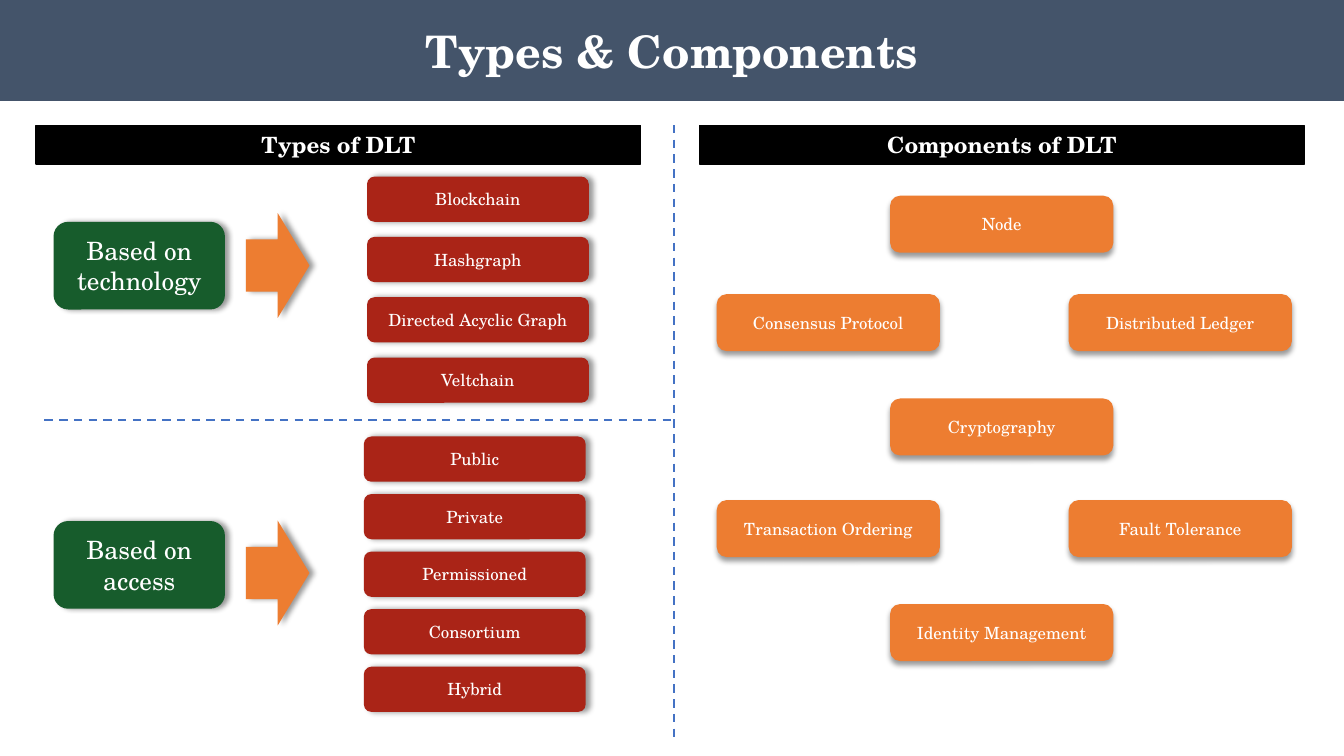
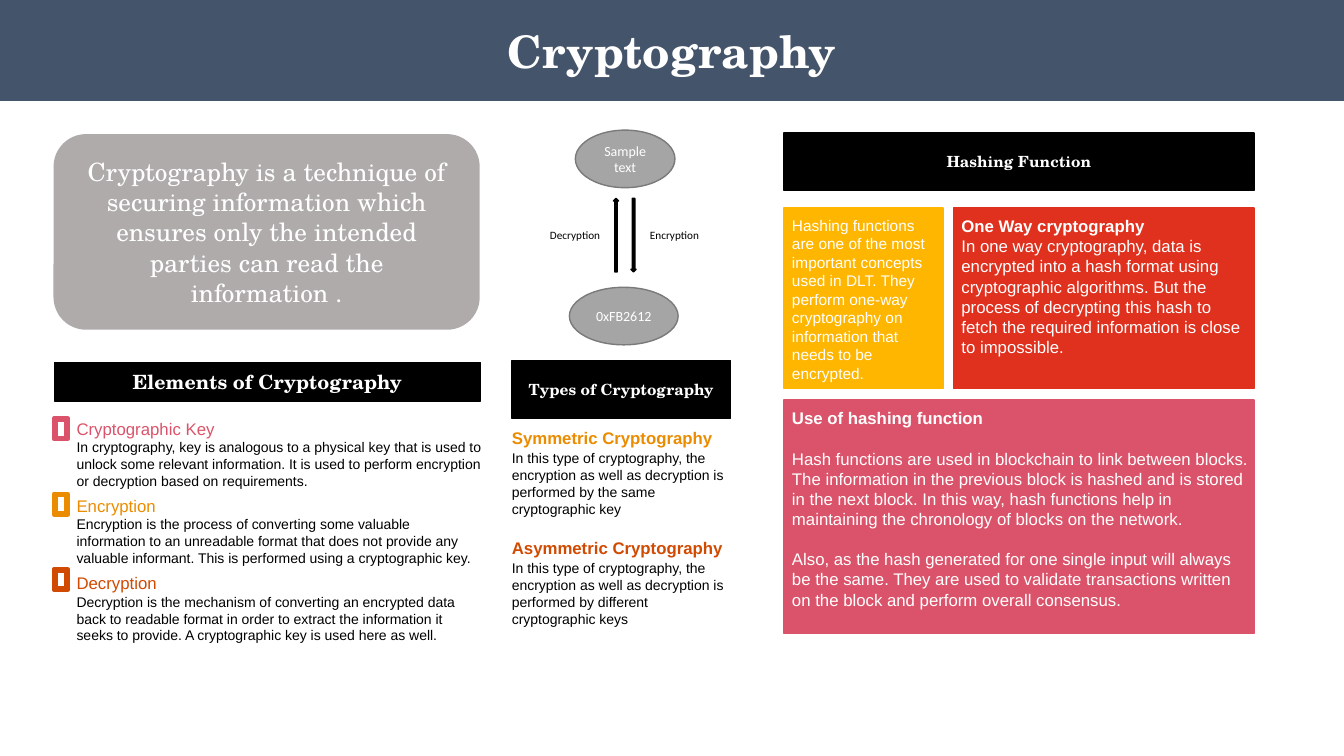
from dataclasses import dataclass
from typing import NamedTuple, Optional

from lxml.etree import SubElement
from pptx import Presentation
from pptx.dml.color import RGBColor
from pptx.enum.dml import MSO_LINE
from pptx.enum.shapes import MSO_CONNECTOR, MSO_SHAPE as Preset
from pptx.enum.text import MSO_ANCHOR as Anchor, MSO_AUTO_SIZE, PP_ALIGN as Align
from pptx.oxml.ns import qn
from pptx.shapes.autoshape import Shape
from pptx.slide import Slide
from pptx.text.text import TextFrame
from pptx.util import Cm, Pt

# Shared look
WHITE = RGBColor(0xFF, 0xFF, 0xFF)
BLACK = RGBColor(0x00, 0x00, 0x00)
SLATE = RGBColor(0x44, 0x54, 0x6A)
GREEN = RGBColor(0x17, 0x5C, 0x2C)
BRICK = RGBColor(0xAA, 0x24, 0x17)
ORANGE = RGBColor(0xED, 0x7D, 0x31)
BLUE = RGBColor(0x44, 0x72, 0xC4)
WARM_GRAY = RGBColor(0xAF, 0xAB, 0xAB)
MID_GRAY = RGBColor(0xA5, 0xA5, 0xA5)
DARK_GRAY = RGBColor(0x7A, 0x7A, 0x7A)
ROSE = RGBColor(0xDB, 0x53, 0x6A)
AMBER = RGBColor(0xEB, 0x8C, 0x00)
RUST = RGBColor(0xD0, 0x4A, 0x02)
YELLOW = RGBColor(0xFF, 0xB6, 0x00)
RED = RGBColor(0xE0, 0x30, 0x1E)

SERIF, SANS, LABEL = "TeX Gyre Schola", "Arial", "Calibri"
SLIDE_WIDTH, SLIDE_HEIGHT, BAND_HEIGHT = 33.87, 19.05, 2.54
RIGHTWARD, DOWNWARD = 0, 90


class Area(NamedTuple):
    """Left, top, width and height in centimetres."""
    left: float
    top: float
    width: float
    height: float

    def lengths(self) -> list[Cm]:
        return [Cm(value) for value in self]


class Insets(NamedTuple):
    left: float
    top: float
    right: float
    bottom: float


NO_INSETS = Insets(0, 0, 0, 0)
PANEL_INSETS = Insets(0.2, 0.2, 0.08, 0.2)


@dataclass(frozen=True)
class Para:
    text: str
    size: float
    color: RGBColor = WHITE
    font: str = SERIF
    bold: bool = False
    align: Align = Align.LEFT
    before: float = 0
    after: float = 0


@dataclass(frozen=True)
class Look:
    preset: Preset
    fill: Optional[RGBColor] = None
    line: Optional[RGBColor] = None
    line_width: float = 1
    shadow: Optional[int] = None
    rotation: int = 0


TYPE_PILL = Look(Preset.ROUNDED_RECTANGLE, BRICK, shadow=RIGHTWARD)
BASIS = Look(Preset.ROUNDED_RECTANGLE, GREEN, shadow=RIGHTWARD)
BASIS_ARROW = Look(Preset.DOWN_ARROW, ORANGE, shadow=RIGHTWARD, rotation=270)
COMPONENT = Look(Preset.ROUNDED_RECTANGLE, ORANGE, ORANGE, shadow=DOWNWARD)
HEADING = Look(Preset.RECTANGLE, BLACK, BLACK)
MESSAGE = Look(Preset.OVAL, MID_GRAY, DARK_GRAY)


# Drawing functions
def write(frame: TextFrame, paras: list[Para], anchor: Anchor,
          insets: Optional[Insets] = None) -> None:
    frame.word_wrap = True
    frame.auto_size = MSO_AUTO_SIZE.NONE
    frame.vertical_anchor = anchor
    if insets:
        frame.margin_left, frame.margin_top = Cm(insets.left), Cm(insets.top)
        frame.margin_right, frame.margin_bottom = Cm(insets.right), Cm(insets.bottom)
    for index, para in enumerate(paras):
        line = frame.add_paragraph() if index else frame.paragraphs[0]
        line.alignment = para.align
        line.space_before, line.space_after = Pt(para.before), Pt(para.after)
        run = line.add_run()
        run.text = para.text
        run.font.name, run.font.size = para.font, Pt(para.size)
        run.font.bold, run.font.color.rgb = para.bold, para.color


def cast_shadow(shape: Shape, direction: int) -> None:
    effects = shape._element.spPr.find(qn("a:effectLst"))
    outer = SubElement(effects, qn("a:outerShdw"), blurRad=str(Pt(4)), dist=str(Pt(3)),
                       dir=str(direction * 60000), algn="ctr", rotWithShape="0")
    color = SubElement(outer, qn("a:srgbClr"), val=str(BLACK))
    SubElement(color, qn("a:alpha"), val="40000")


def draw(slide: Slide, area: Area, look: Look, paras: Optional[list[Para]] = None,
         anchor: Anchor = Anchor.MIDDLE, insets: Optional[Insets] = None) -> Shape:
    shape = slide.shapes.add_shape(look.preset, *area.lengths())
    shape.rotation = look.rotation
    shape.shadow.inherit = False
    if look.fill is None:
        shape.fill.background()
    else:
        shape.fill.solid()
        shape.fill.fore_color.rgb = look.fill
    if look.line is None:
        shape.line.fill.background()
    else:
        shape.line.color.rgb = look.line
        shape.line.width = Pt(look.line_width)
    if look.shadow is not None:
        cast_shadow(shape, look.shadow)
    if paras:
        write(shape.text_frame, paras, anchor, insets)
    return shape


def add_caption(slide: Slide, area: Area, look: Look, text: str, size: float,
                font: str = SERIF, bold: bool = False) -> None:
    draw(slide, area, look, [Para(text, size, font=font, bold=bold, align=Align.CENTER)])


def add_text(slide: Slide, area: Area, paras: list[Para],
             insets: Optional[Insets] = None) -> None:
    box = slide.shapes.add_textbox(*area.lengths())
    write(box.text_frame, paras, Anchor.TOP, insets)


def add_panel(slide: Slide, area: Area, color: RGBColor, paras: list[Para]) -> None:
    draw(slide, area, Look(Preset.RECTANGLE, color, color), paras, Anchor.TOP, PANEL_INSETS)


def add_divider(slide: Slide, x1: float, y1: float, x2: float, y2: float) -> None:
    divider = slide.shapes.add_connector(MSO_CONNECTOR.STRAIGHT, Cm(x1), Cm(y1), Cm(x2), Cm(y2))
    divider.line.color.rgb = BLUE
    divider.line.width = Pt(1.5)
    divider.line.dash_style = MSO_LINE.DASH
    SubElement(divider._element.spPr, qn("a:effectLst"))


def add_titled_slide(deck: Presentation, text: str) -> Slide:
    slide = deck.slides.add_slide(deck.slide_layouts[5])
    title = slide.shapes.title
    title.left, title.top, title.width, title.height = Area(
        0, 0, SLIDE_WIDTH, BAND_HEIGHT).lengths()
    title.fill.solid()
    title.fill.fore_color.rgb = SLATE
    write(title.text_frame, [Para(text, 32, bold=True, align=Align.CENTER, after=6)],
          Anchor.MIDDLE, NO_INSETS)
    return slide


# Slide 1: types and components
class TypeGroup(NamedTuple):
    basis: str
    basis_top: float
    arrow_top: float
    left: float
    top: float
    pitch: float
    members: tuple[str, ...]


class Component(NamedTuple):
    text: str
    column: int
    row: int


TYPE_GROUPS = [
    TypeGroup("Based on technology", 5.59, 5.89, 9.25, 4.45, 1.52,
              ("Blockchain", "Hashgraph", "Directed Acyclic Graph", "Veltchain")),
    TypeGroup("Based on access", 13.13, 13.64, 9.17, 11, 1.45,
              ("Public", "Private", "Permissioned", "Consortium", "Hybrid")),
]
COMPONENT_COLUMNS = (18.08, 22.45, 26.95)
COMPONENT_ROWS = (4.95, 7.43, 10.06, 12.62, 15.24)
COMPONENTS = [
    Component("Node", 1, 0),
    Component("Consensus Protocol", 0, 1),
    Component("Distributed Ledger", 2, 1),
    Component("Cryptography", 1, 2),
    Component("Transaction Ordering", 0, 3),
    Component("Fault Tolerance", 2, 3),
    Component("Identity Management", 1, 4),
]


def build_types(deck: Presentation) -> None:
    slide = add_titled_slide(deck, "Types & Components")
    for left, heading in ((0.91, "Types of DLT"), (17.63, "Components of DLT")):
        add_caption(slide, Area(left, 3.16, 15.24, 0.97), HEADING, heading, 16, bold=True)
    add_divider(slide, 16.99, 3.15, 16.99, 18.72)
    add_divider(slide, 1.12, 10.59, 16.99, 10.59)
    for group in TYPE_GROUPS:
        add_caption(slide, Area(1.35, group.basis_top, 4.32, 2.21), BASIS, group.basis, 18)
        draw(slide, Area(5.68, group.arrow_top, 2.64, 1.6), BASIS_ARROW)
        for index, member in enumerate(group.members):
            top = group.top + index * group.pitch
            add_caption(slide, Area(group.left, top, 5.59, 1.14), TYPE_PILL, member, 12)
    for part in COMPONENTS:
        area = Area(COMPONENT_COLUMNS[part.column], COMPONENT_ROWS[part.row], 5.59, 1.4)
        add_caption(slide, area, COMPONENT, part.text, 12)


# Slide 2: cryptography
class Topic(NamedTuple):
    name: str
    color: RGBColor
    detail: str


ELEMENTS = [
    Topic("Cryptographic Key", ROSE,
          "In cryptography, key is analogous to a physical key that is used to unlock some "
          "relevant information. It is used to perform encryption or decryption based on "
          "requirements."),
    Topic("Encryption", AMBER,
          "Encryption is the process of converting some valuable information to an unreadable "
          "format that does not provide any valuable informant. This is performed using a "
          "cryptographic key."),
    Topic("Decryption", RUST,
          "Decryption is the mechanism of converting an encrypted data back to readable format "
          "in order to extract the information it seeks to provide. A cryptographic key is used "
          "here as well."),
]
KEY_USE = ("In this type of cryptography, the encryption as well as decryption is performed by "
           "{} cryptographic {}")
CRYPTOGRAPHY_TYPES = [
    Topic("Symmetric Cryptography", AMBER, KEY_USE.format("the same", "key")),
    Topic("Asymmetric Cryptography", RUST, KEY_USE.format("different", "keys")),
]


def topic_paras(topic: Topic, bold: bool = False, gap: float = 0) -> list[Para]:
    return [Para(topic.name, 12, topic.color, SANS, bold),
            Para(topic.detail, 10, BLACK, SANS, before=gap)]


def build_cryptography(deck: Presentation) -> None:
    slide = add_titled_slide(deck, "Cryptography")
    # Definition and elements
    add_caption(slide, Area(1.35, 3.38, 10.74, 4.93), Look(Preset.ROUNDED_RECTANGLE, WARM_GRAY),
                "Cryptography is a technique of securing information which ensures only the "
                "intended parties can read the information .", 18)
    add_caption(slide, Area(1.37, 9.14, 10.74, 0.97), HEADING, "Elements of Cryptography", 14,
                bold=True)
    for index, element in enumerate(ELEMENTS):
        draw(slide, Area(1.37, 10.54 + index * 1.9, 0.33, 0.53),
             Look(Preset.FRAME, line=element.color, line_width=3))
        add_text(slide, Area(1.93, 10.54 + index * 1.95, 10.19, 1.5), topic_paras(element),
                 Insets(0, 0, 0, 0.13))
    # Message diagram
    add_caption(slide, Area(14.5, 3.28, 2.51, 1.45), MESSAGE, "Sample text", 10, LABEL)
    add_caption(slide, Area(14.35, 7.24, 2.74, 1.45), MESSAGE, "0xFB2612", 10, LABEL)
    for label, label_left, label_width, arrow_left, rotation in (
            ("Decryption", 13.61, 1.78, 14.6, 270), ("Encryption", 16.13, 2.51, 15.04, 90)):
        draw(slide, Area(arrow_left, 5.86, 1.85, 0.13),
             Look(Preset.RIGHT_ARROW, BLACK, BLACK, rotation=rotation))
        add_text(slide, Area(label_left, 5.62, label_width, 0.61), [Para(label, 8, BLACK, LABEL)])
    # Types
    add_caption(slide, Area(12.9, 9.09, 5.51, 1.45), HEADING, "Types of Cryptography", 11,
                bold=True)
    for index, kind in enumerate(CRYPTOGRAPHY_TYPES):
        add_text(slide, Area(12.9, 10.77 + index * 2.77, 5.51, 2.95),
                 topic_paras(kind, bold=True, gap=1.7), NO_INSETS)
    # Hashing
    add_caption(slide, Area(19.76, 3.35, 11.84, 1.45), HEADING, "Hashing Function", 11, bold=True)
    add_panel(slide, Area(19.76, 5.24, 4.01, 4.55), YELLOW, [
        Para("Hashing functions are one of the most important concepts used in DLT. They perform "
             "one-way cryptography on information that needs to be encrypted.", 11, font=SANS)])
    add_panel(slide, Area(24.03, 5.24, 7.57, 4.55), RED, [
        Para("One Way cryptography", 12, font=SANS, bold=True),
        Para("In one way cryptography, data is encrypted into a hash format using cryptographic "
             "algorithms. But the process of decrypting this hash to fetch the required "
             "information is close to impossible.", 12, font=SANS)])
    add_panel(slide, Area(19.76, 10.08, 11.84, 5.89), ROSE, [
        Para("Use of hashing function", 12, font=SANS, bold=True),
        Para("Hash functions are used in blockchain to link between blocks. The information in "
             "the previous block is hashed and is stored in the next block. In this way, hash "
             "functions help in maintaining the chronology of blocks on the network.",
             12, font=SANS, before=14.4),
        Para("Also, as the hash generated for one single input will always be the same. They are "
             "used to validate transactions written on the block and perform overall consensus.",
             12, font=SANS, before=14.4)])


deck = Presentation()
deck.slide_width, deck.slide_height = Cm(SLIDE_WIDTH), Cm(SLIDE_HEIGHT)
build_types(deck)
build_cryptography(deck)
deck.save("out.pptx")
